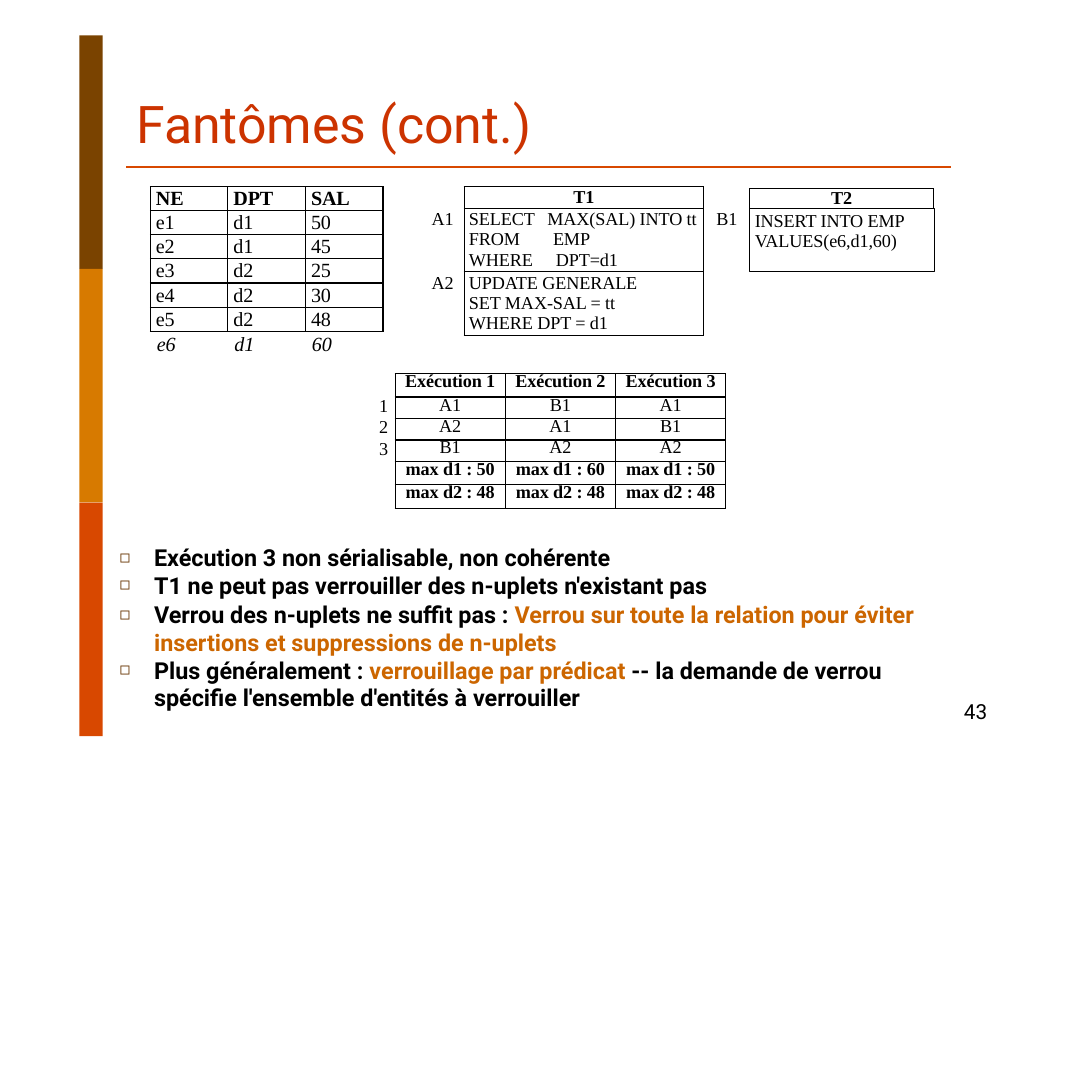
from collections import namedtuple

from lxml.etree import SubElement
from pptx import Presentation
from pptx.dml.color import RGBColor
from pptx.enum.shapes import MSO_CONNECTOR, MSO_SHAPE
from pptx.enum.text import MSO_ANCHOR, PP_ALIGN
from pptx.oxml import parse_xml
from pptx.oxml.ns import nsdecls, qn
from pptx.util import Inches, Pt

Box = namedtuple("Box", "left top width height")
SANS, SERIF = "Roboto", "Times New Roman"
BLACK, ORANGE = "000000", "CC6600"


def colour(value):
    return RGBColor.from_string(value)


def style(para, font, size, ink=BLACK, bold=False, italic=False):
    for span in para.runs:
        span.font.name, span.font.size = font, Pt(size)
        span.font.bold, span.font.italic = bold, italic
        span.font.color.rgb = colour(ink)
        if font == SERIF:
            span._r.get_or_add_rPr().set("spc", "-10")


def add_text(page, box, text, font, size, ink=BLACK, bold=False, italic=False, spacing=None):
    frame = page.shapes.add_textbox(*map(Inches, box)).text_frame
    frame.margin_left = frame.margin_top = frame.margin_right = frame.margin_bottom = 0
    frame.text = text
    for para in frame.paragraphs:
        style(para, font, size, ink, bold, italic)
        if spacing:
            para.line_spacing = Pt(spacing)
    return frame


def add_sidebar(page, box):
    height = box.height / 3
    for index, ink in enumerate(("7A4300", "D77A00", "D84800")):
        bar = page.shapes.add_shape(
            MSO_SHAPE.RECTANGLE, Inches(box.left), Inches(box.top + index * height),
            Inches(box.width), Inches(height))
        bar.shadow.inherit = False
        bar.fill.solid()
        bar.fill.fore_color.rgb = colour(ink)
        bar.line.fill.background()


def add_title(page, box, text):
    add_text(page, Box(box.left + 0.11, box.top, box.width - 0.11, 0.73),
             text, SANS, 40, "CC3300")
    bottom = Inches(box.top + box.height)
    rule = page.shapes.add_connector(
        MSO_CONNECTOR.STRAIGHT, Inches(box.left), bottom,
        Inches(box.left + box.width), bottom)
    rule.line.color.rgb = colour("D84800")
    rule.line.width = Pt(1.5)
    SubElement(rule._element.spPr, qn("a:effectLst"))


def add_borders(cell):
    properties = cell._tc.get_or_add_tcPr()
    for index, side in enumerate("LRTB"):
        properties.insert(index, parse_xml(
            f'<a:ln{side} {nsdecls("a")} w="12700"><a:solidFill>'
            f'<a:srgbClr val="{BLACK}"/></a:solidFill></a:ln{side}>'))


def add_tab(para, position):
    tabs = SubElement(para._p.get_or_add_pPr(), qn("a:tabLst"))
    SubElement(tabs, qn("a:tab"), pos=str(Inches(position)), algn="l")


def add_grid(page, box, heights, rows, size, spacing, indent=0.05, bold_rows=(0,),
             centred_rows=(), tabs=()):
    columns = len(rows[0])
    grid = page.shapes.add_table(len(rows), columns, *map(Inches, box)).table
    for column in grid.columns:
        column.width = Inches(box.width / columns)
    for row_index, (row, height) in enumerate(zip(rows, heights)):
        grid.rows[row_index].height = Inches(height)
        centred = row_index in centred_rows
        for column_index, text in enumerate(row):
            cell = grid.cell(row_index, column_index)
            cell.margin_left = 0 if centred else Inches(indent)
            cell.margin_top = 0 if centred or row_index == 0 else Inches(0.01)
            cell.margin_right = cell.margin_bottom = 0
            cell.fill.background()
            add_borders(cell)
            cell.text_frame.text = text
            stops = iter(tabs)
            for para in cell.text_frame.paragraphs:
                if "\t" in para.text:
                    add_tab(para, next(stops))
                para.alignment = PP_ALIGN.CENTER if centred else PP_ALIGN.LEFT
                para.line_spacing = Pt(spacing)
                style(para, SERIF, size, bold=row_index in bold_rows)


def add_employees(page, box):
    rows = [("NE", "DPT", "SAL"), ("e1", "d1", "50"), ("e2", "d1", "45"),
            ("e3", "d2", "25"), ("e4", "d2", "30"), ("e5", "d2", "48")]
    add_grid(page, box, [0.25] + [0.26] * 5, rows, 15.5, 17.5, indent=0.06)
    for index, text in enumerate(("e6", "d1", "60")):
        add_text(page, Box(box.left + 0.07 + index * box.width / 3, box.top + box.height,
                           0.3, 0.26), text, SERIF, 15.5, italic=True)


def add_step_label(page, box, text):
    add_text(page, Box(box.left - 0.35, box.top - 0.01, 0.27, 0.25), text, SERIF, 14)


def add_reader(page, box):
    steps = [("A1", "SELECT\tMAX(SAL) INTO tt\nFROM\tEMP\nWHERE\tDPT=d1"),
             ("A2", "UPDATE GENERALE\nSET MAX-SAL = tt\nWHERE DPT = d1")]
    rows = [("T1",)] + [(code,) for label, code in steps]
    add_grid(page, box, [0.23, 0.68, 0.68], rows, 14, 15.6,
             centred_rows=(0,), tabs=(0.84, 0.9, 0.93))
    for index, (label, code) in enumerate(steps):
        add_step_label(page, Box(box.left, box.top + 0.23 + index * 0.68, 0, 0), label)


def add_strip(page, box):
    left, top, width, height = map(Inches, box)
    outline = page.shapes.build_freeform(left, top)
    outline.add_line_segments([(left + width, top), (left + width, top + height),
                               (left, top + height)], close=True)
    strip = outline.convert_to_shape()
    strip.shadow.inherit = False
    strip.fill.solid()
    strip.fill.fore_color.rgb = colour(BLACK)
    strip.line.fill.background()


def add_writer(page, box):
    header, edge = 0.22, 0.01
    right = box.left + box.width - edge
    name = add_text(page, Box(box.left, box.top - 0.01, box.width, 0.24),
                    "T2", SERIF, 14, bold=True)
    name.word_wrap = True
    name.paragraphs[0].alignment = PP_ALIGN.CENTER
    add_strip(page, Box(box.left + edge, box.top, box.width - 2 * edge, edge))
    for left in (box.left, right):
        add_strip(page, Box(left, box.top, edge, edge))
        add_strip(page, Box(left, box.top, edge, header))
    body = page.shapes.add_shape(
        MSO_SHAPE.RECTANGLE, Inches(box.left), Inches(box.top + header),
        Inches(box.width), Inches(box.height - header))
    body.shadow.inherit = False
    body.fill.background()
    body.line.color.rgb = colour(BLACK)
    body.line.width = Pt(0.52)
    frame = body.text_frame
    frame.margin_left, frame.margin_top = Inches(0.06), Inches(0.02)
    frame.margin_right = frame.margin_bottom = 0
    frame.vertical_anchor = MSO_ANCHOR.TOP
    frame.text = "INSERT INTO EMP\nVALUES(e6,d1,60)"
    for para in frame.paragraphs:
        para.alignment = PP_ALIGN.LEFT
        para.line_spacing = Pt(15.8)
        style(para, SERIF, 14)
    add_step_label(page, Box(box.left, box.top + header, 0, 0), "B1")


def add_executions(page, box):
    rows = [[f"Exécution {number}" for number in (1, 2, 3)],
            ("A1", "B1", "A1"), ("A2", "A1", "B1"), ("B1", "A2", "A2"),
            [f"max d1 : {salary}" for salary in (50, 60, 50)],
            ["max d2 : 48"] * 3]
    add_grid(page, box, [0.25, 0.23, 0.23, 0.23, 0.25, 0.25], rows, 14, 13.8,
             bold_rows=(0, 4, 5), centred_rows=range(6))
    add_text(page, Box(box.left - 0.17, box.top + 0.22, 0.13, 0.7), "1\n2\n3",
             SERIF, 14, spacing=16.6)


def add_conclusions(page, box, items):
    frame = add_text(page, box, "", SANS, 18)
    frame.word_wrap = True
    for index, (item, gap) in enumerate(zip(items, (0, 0, 1.6, 0))):
        para = frame.add_paragraph() if index else frame.paragraphs[0]
        properties = para._p.get_or_add_pPr()
        properties.set("marL", str(Inches(0.39)))
        properties.set("indent", str(-Inches(0.37)))
        bullet_colour = SubElement(properties, qn("a:buClr"))
        SubElement(bullet_colour, qn("a:srgbClr"), val="663300")
        SubElement(properties, qn("a:buSzPct"), val="75000")
        SubElement(properties, qn("a:buFont"), typeface=SERIF)
        SubElement(properties, qn("a:buChar"), char="◻")
        para.line_spacing = Pt(21.3)
        para.space_before = Pt(gap)
        for text, ink in item:
            para.add_run().text = text
        style(para, SANS, 18, bold=True)
        for span, (text, ink) in zip(para.runs, item):
            span.font.color.rgb = colour(ink)


def main():
    deck = Presentation()
    deck.slide_width = deck.slide_height = Inches(11.69)
    page = deck.slides.add_slide(deck.slide_layouts[6])
    add_sidebar(page, Box(0.85, 0.38, 0.25, 7.5))
    add_title(page, Box(1.35, 0.98, 8.83, 0.81), "Fantômes (cont.)")
    add_employees(page, Box(1.61, 2, 2.49, 1.55))
    add_reader(page, Box(4.97, 2, 2.56, 1.59))
    add_writer(page, Box(8.02, 2.01, 1.98, 0.9))
    add_executions(page, Box(4.23, 4, 3.54, 1.44))
    add_conclusions(page, Box(1.26, 5.82, 8.9, 1.8), [
        [("Exécution 3 non sérialisable, non cohérente", BLACK)],
        [("T1 ne peut pas verrouiller des n-uplets n'existant pas", BLACK)],
        [("Verrou des n-uplets ne suffit pas : ", BLACK),
         ("Verrou sur toute la relation pour éviter insertions et suppressions de n-uplets",
          ORANGE)],
        [("Plus généralement : ", BLACK), ("verrouillage par prédicat ", ORANGE),
         ("-- la demande de verrou spécifie l'ensemble d'entités à verrouiller", BLACK)]])
    add_text(page, Box(10.32, 7.48, 0.26, 0.27), "43", SANS, 16)
    deck.save("out.pptx")


if __name__ == "__main__":
    main()
